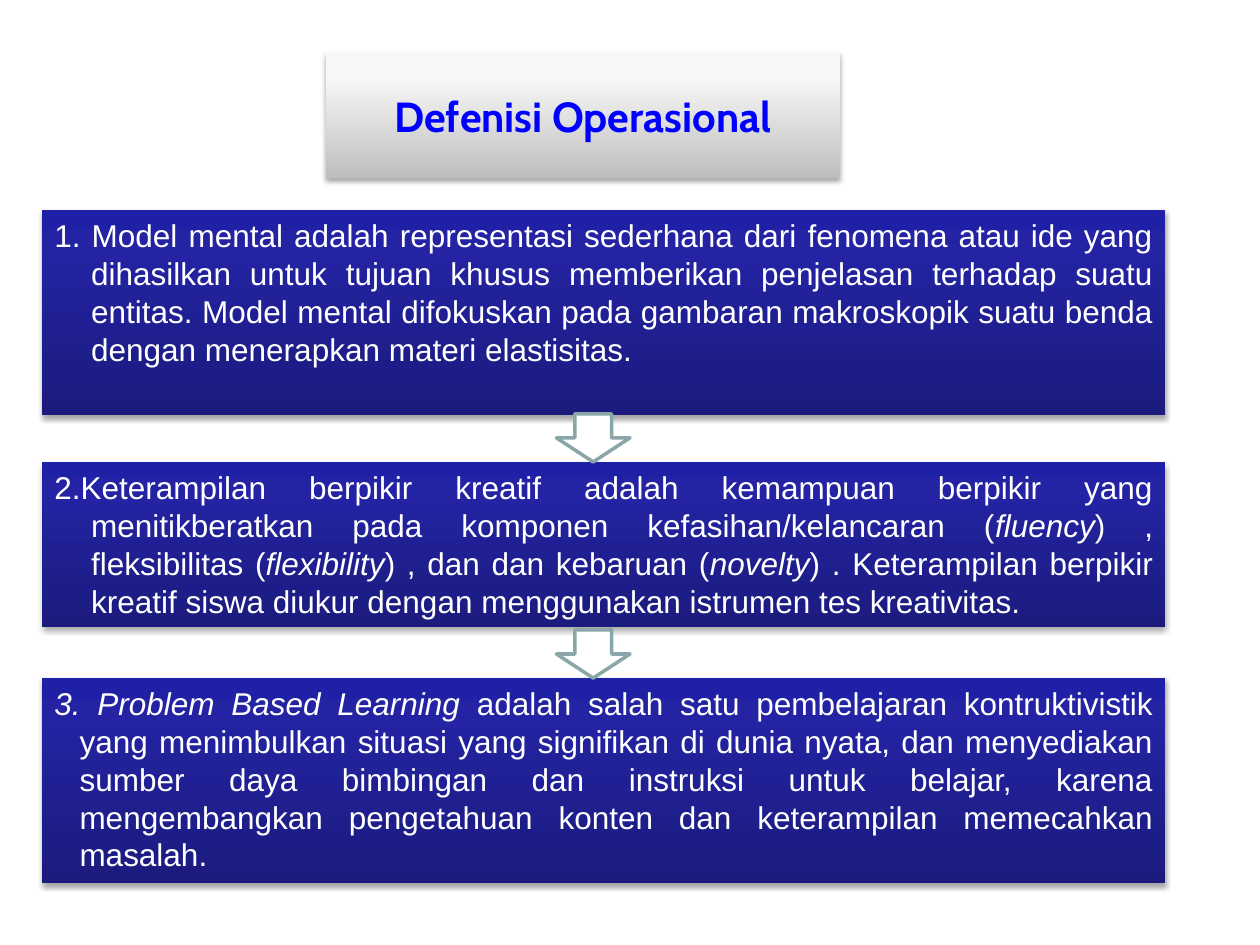
from lxml.etree import SubElement
from pptx import Presentation
from pptx.dml.color import RGBColor
from pptx.enum.shapes import MSO_SHAPE
from pptx.enum.text import MSO_ANCHOR, MSO_AUTO_SIZE, PP_ALIGN
from pptx.oxml.ns import qn
from pptx.util import Pt

rgb = RGBColor.from_string


def dress(shape, stops):
    """Give a shape an upward gradient, no outline and a soft shadow."""
    props = shape.element.spPr
    grad = SubElement(props, qn("a:gradFill"), rotWithShape="1")
    marks = SubElement(grad, qn("a:gsLst"))
    for pos, hue in stops:
        mark = SubElement(marks, qn("a:gs"), pos=str(pos * 1000))
        SubElement(mark, qn("a:srgbClr"), val=hue)
    SubElement(grad, qn("a:lin"), ang="16200000", scaled="0")
    shape.line.fill.background()
    shape.shadow.inherit = False
    shade = SubElement(props.find(qn("a:effectLst")), qn("a:outerShdw"),
                       blurRad=str(Pt(3.1)), dist=str(Pt(1.8)),
                       dir="5400000", rotWithShape="0")
    black = SubElement(shade, qn("a:srgbClr"), val="000000")
    SubElement(black, qn("a:alpha"), val="35000")


GRAY = [(0, "BEBEBE"), (80, "F7F7F7"), (100, "F8F8F8")]
BLUE = [(0, "1B1B7E"), (80, "2323A3"), (100, "2020A6")]

# top, height, hanging indent, text with *italic* parts
BOXES = [
    (120, 117, 21,
     "1. Model mental adalah representasi sederhana dari fenomena atau ide "
     "yang dihasilkan untuk tujuan khusus memberikan penjelasan terhadap "
     "suatu entitas. Model mental difokuskan pada gambaran makroskopik suatu "
     "benda dengan menerapkan materi elastisitas."),
    (264, 94.5, 21,
     "2.Keterampilan berpikir kreatif adalah kemampuan berpikir yang "
     "menitikberatkan pada komponen kefasihan/kelancaran (*fluency*) , "
     "fleksibilitas (*flexibility*) , dan dan kebaruan (*novelty*) . "
     "Keterampilan berpikir kreatif siswa diukur dengan menggunakan istrumen "
     "tes kreativitas."),
    (387.5, 117, 14.4,
     "*3. Problem Based Learning *adalah salah satu pembelajaran "
     "kontruktivistik yang menimbulkan situasi yang signifikan di dunia "
     "nyata, dan menyediakan sumber daya bimbingan dan instruksi untuk "
     "belajar, karena mengembangkan pengetahuan konten dan keterampilan "
     "memecahkan masalah."),
]

prs = Presentation()
prs.slide_width, prs.slide_height = Pt(720), Pt(540)
slide = prs.slides.add_slide(prs.slide_layouts[5])

# Title
title = slide.shapes.title
title.left, title.top = Pt(186), Pt(30)
title.width, title.height = Pt(294), Pt(72)
geom = SubElement(title.element.spPr, qn("a:prstGeom"),
                  prst="flowChartPreparation")
SubElement(geom, qn("a:avLst"))
dress(title, GRAY)
frame = title.text_frame
frame.text = "Defenisi Operasional"
frame.word_wrap = False
frame.auto_size = MSO_AUTO_SIZE.NONE
frame.vertical_anchor = MSO_ANCHOR.MIDDLE
para = frame.paragraphs[0]
para.alignment = PP_ALIGN.CENTER
font = para.runs[0].font
font.name, font.size, font.bold = "Cabin", Pt(24), True
font.color.rgb = rgb("0000FF")

# Definitions
for top, height, indent, text in BOXES:
    box = slide.shapes.add_shape(MSO_SHAPE.RECTANGLE, Pt(24), Pt(top),
                                 Pt(642), Pt(height))
    dress(box, BLUE)
    frame = box.text_frame
    frame.word_wrap = True
    frame.vertical_anchor = MSO_ANCHOR.TOP
    para = frame.paragraphs[0]
    para.alignment = PP_ALIGN.JUSTIFY
    layout = para._p.get_or_add_pPr()
    layout.set("marL", str(Pt(indent)))
    layout.set("indent", str(-Pt(indent)))
    for part, words in enumerate(text.split("*")):
        if words:
            run = para.add_run()
            run.text = words
            font = run.font
            font.name, font.size = "Arial", Pt(18)
            font.italic = part % 2 == 1
            font.color.rgb = rgb("FFFFFF")

# Arrows leading into the second and third definitions
for top, *_ in BOXES[1:]:
    arrow = slide.shapes.add_shape(MSO_SHAPE.DOWN_ARROW, Pt(318),
                                   Pt(top - 27.5), Pt(42), Pt(27.5))
    arrow.fill.solid()
    arrow.fill.fore_color.rgb = rgb("FFFFFF")
    arrow.line.color.rgb = rgb("8AA6A8")
    arrow.line.width = Pt(2)
    arrow.shadow.inherit = False

prs.save("out.pptx")
